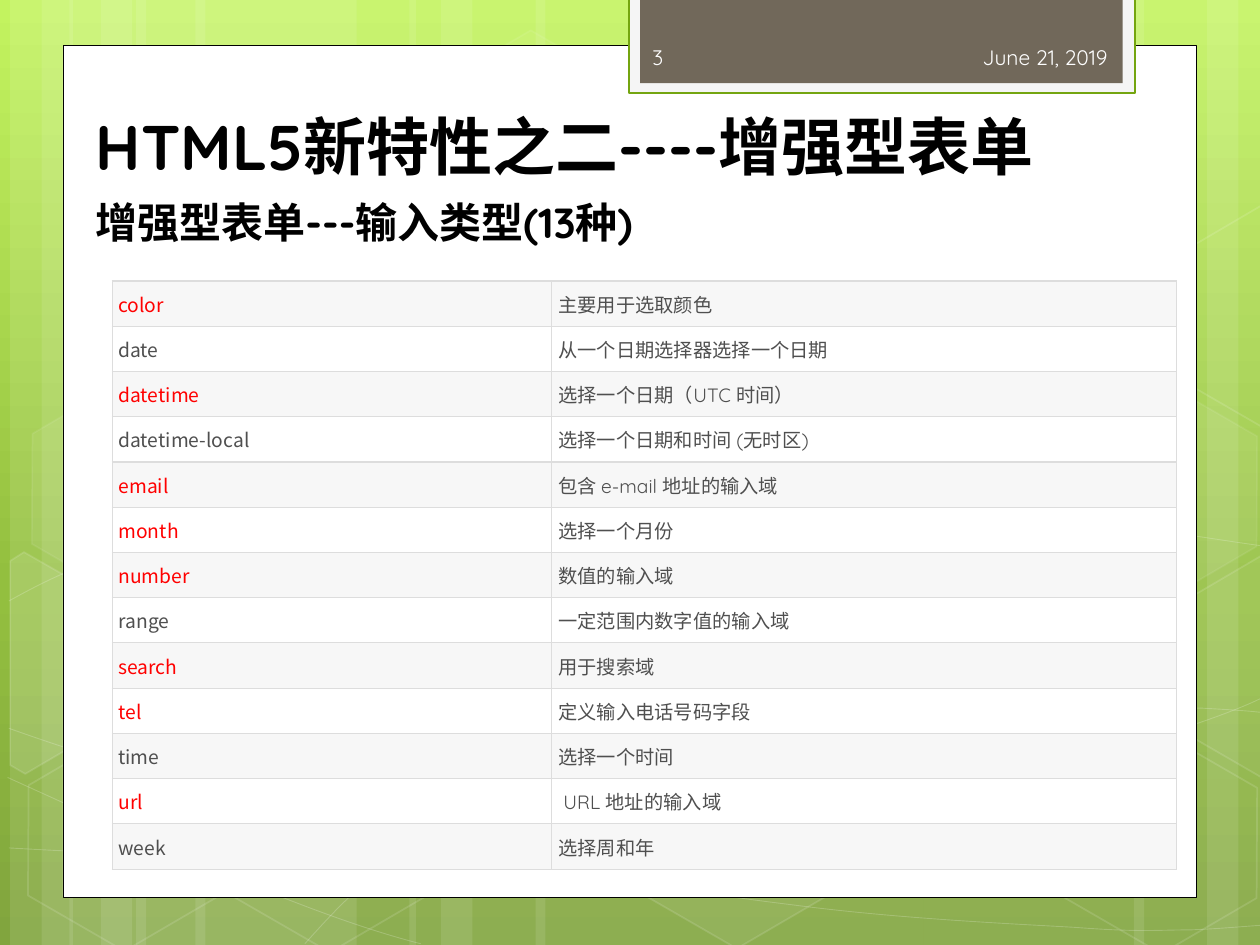
from copy import deepcopy
from dataclasses import dataclass
from math import cos, radians, sin
from typing import NamedTuple, Optional

from lxml import etree
from pptx import Presentation
from pptx.dml.color import RGBColor
from pptx.enum.shapes import MSO_SHAPE
from pptx.enum.text import MSO_ANCHOR, MSO_AUTO_SIZE, PP_ALIGN
from pptx.oxml.ns import qn
from pptx.util import Emu, Pt

RECT, HEXAGON = MSO_SHAPE.RECTANGLE, MSO_SHAPE.HEXAGON
LEFT, RIGHT = PP_ALIGN.LEFT, PP_ALIGN.RIGHT
TOP, MIDDLE = MSO_ANCHOR.TOP, MSO_ANCHOR.MIDDLE
NO_FIT = MSO_AUTO_SIZE.NONE
EMU_PER_PX = 9144  # 100 px to the inch
TITLE_ONLY = 5
TILT = 30


@dataclass(frozen=True)
class Theme:
    white: str = "FFFFFF"
    black: str = "000000"
    tab_edge: str = "F5F5F5"
    tab_line: str = "74A510"
    tab: str = "71685A"
    tab_text: str = "FEFEFE"
    stripe: str = "F7F7F7"
    grid: str = "DDDDDD"
    text: str = "4F4F4F"
    highlight: str = "FF0000"
    sky: tuple = ((0, "C3F35F"), (0.62, "93BF3F"), (1, "81A53E"))
    font: str = "Quicksand"
    cjk_font: str = "Noto Sans CJK SC"
    title_size: int = 36
    subtitle_size: int = 24
    tab_size: int = 12
    table_size: int = 11


THEME = Theme()


class Box(NamedTuple):
    left: int
    top: int
    width: int
    height: int


class Paint(NamedTuple):
    color: str
    opacity: int = 100
    width: float = 0


class Hexagon(NamedTuple):
    left: int
    top: int
    line_opacity: int
    fill_opacity: int = 0


class CutHexagon(NamedTuple):
    center: tuple
    points: tuple
    fill_opacity: int = 0


class InputType(NamedTuple):
    name: str
    meaning: str
    highlighted: bool


BANDS = ((108, 175), (8, 50), (33, 83), (155, 175), (55, 50), (80, 83),
         (733, 175), (958, 50), (900, 83), (425, 308), (325, 50), (350, 83))

# Each curve: a start point, then Bezier triples of two controls and an end.
CURVES = (
    ((7, 673), (61, 676), (115, 679), (190, 678), (265, 677), (358, 675), (458, 665),
     (558, 655), (700, 636), (792, 617), (883, 598), (977, 568), (1007, 551)),
    ((7, 477), (36, 461), (65, 446), (121, 431), (178, 416), (259, 394), (347, 387),
     (436, 380), (544, 379), (654, 387), (764, 395), (947, 426), (1007, 434)),
    ((6, 617), (127, 672), (247, 727), (334, 749)),
    ((7, 578), (38, 589), (70, 600), (128, 616), (186, 631), (273, 656), (357, 673),
     (440, 690), (545, 708), (628, 718), (711, 729), (800, 733), (853, 736),
     (905, 740), (919, 738), (945, 738), (971, 737), (989, 735), (1007, 734)),
    ((242, 749), (260, 729), (278, 709), (302, 691), (326, 673), (360, 653), (388, 639),
     (416, 625), (433, 619), (470, 609), (506, 599), (573, 585), (608, 578),
     (644, 571), (649, 571), (680, 569), (711, 566), (760, 563), (794, 562),
     (829, 561), (886, 562), (886, 562), (886, 562), (953, 562), (953, 562),
     (971, 563), (988, 564), (997, 565), (1006, 566), (1003, 565), (1006, 566)),
)

HEXAGONS = (
    Hexagon(334, 36, 8, 4), Hexagon(497, 589, 12, 6), Hexagon(11, 591, 12),
    Hexagon(14, 312, 8, 7), Hexagon(174, 592, 12), Hexagon(753, 453, 12, 10),
    Hexagon(834, 593, 12), Hexagon(834, 314, 8, 7),
)

CUT_HEXAGONS = (
    CutHexagon((36, 535), ((8, 445), (19, 438), (96, 482), (95, 570), (20, 614), (8, 607)), 10),
    CutHexagon((985, 520), ((926, 485), (1001, 441), (1009, 446), (1009, 613),
                            (1002, 617), (926, 573)), 4),
    CutHexagon((985, 241), ((926, 207), (1001, 163), (1010, 168), (1009, 335),
                            (1002, 339), (926, 295))),
)

INPUT_TYPES = (
    InputType("color", "主要用于选取颜色", True),
    InputType("date", "从一个日期选择器选择一个日期", False),
    InputType("datetime", "选择一个日期（UTC 时间）", True),
    InputType("datetime-local", "选择一个日期和时间 (无时区)", False),
    InputType("email", "包含 e-mail 地址的输入域", True),
    InputType("month", "选择一个月份", True),
    InputType("number", "数值的输入域", True),
    InputType("range", "一定范围内数字值的输入域", False),
    InputType("search", "用于搜索域", True),
    InputType("tel", "定义输入电话号码字段", True),
    InputType("time", "选择一个时间", False),
    InputType("url", " URL 地址的输入域", True),
    InputType("week", "选择周和年", False),
)


def px(length: float) -> Emu:
    return Emu(round(length * EMU_PER_PX))


def place(box: Box) -> list:
    return [px(length) for length in box]


def set_opacity(parent, opacity: int) -> None:
    if opacity < 100:
        color = parent.find(qn("a:solidFill"))[0]
        etree.SubElement(color, qn("a:alpha"), val=str(opacity * 1000))


def style(shape, fill: Optional[Paint], line: Optional[Paint]) -> None:
    shape.shadow.inherit = False
    properties = shape._element.spPr
    if fill:
        shape.fill.solid()
        shape.fill.fore_color.rgb = RGBColor.from_string(fill.color)
        set_opacity(properties, fill.opacity)
    else:
        shape.fill.background()
    if line:
        shape.line.color.rgb = RGBColor.from_string(line.color)
        shape.line.width = Pt(line.width)
        set_opacity(properties.find(qn("a:ln")), line.opacity)
    else:
        shape.line.fill.background()


def add_rect(shapes, box: Box, fill: Paint, line: Optional[Paint] = None) -> None:
    style(shapes.add_shape(RECT, *place(box)), fill, line)


def white(opacity: int, width: float = 0) -> Optional[Paint]:
    return Paint(THEME.white, opacity, width) if opacity else None


def add_outline(shapes, points, closed: bool):
    start, *rest = [(px(x), px(y)) for x, y in points]
    builder = shapes.build_freeform(*start)
    builder.add_line_segments(rest, close=closed)
    return builder.convert_to_shape()


def add_curve(shapes, points: tuple) -> None:
    """Draw the control polygon, then merge each three of its lines into a Bezier."""
    curve = add_outline(shapes, points, False)
    lines = list(curve._element.iter(qn("a:lnTo")))
    for first in range(0, len(lines), 3):
        bezier = etree.Element(qn("a:cubicBezTo"))
        lines[first].addprevious(bezier)
        for line in lines[first:first + 3]:
            bezier.append(line[0])
            line.getparent().remove(line)
    style(curve, None, white(20, 0.5))


def add_cut_hexagon(shapes, cut: CutHexagon) -> None:
    """Lay the points out upright around the centre, then tilt the shape."""
    center_x, center_y = cut.center
    c, s = cos(radians(TILT)), sin(radians(TILT))
    upright = [(center_x + (x - center_x) * c + (y - center_y) * s,
                center_y - (x - center_x) * s + (y - center_y) * c)
               for x, y in cut.points]
    hexagon = add_outline(shapes, upright, True)
    hexagon.rotation = TILT
    style(hexagon, white(cut.fill_opacity), white(12, 1))


def write(frame, text: str, size: int, color: str, font: str = THEME.font,
          bold: bool = False, align=LEFT, anchor=MIDDLE) -> None:
    frame.word_wrap = True
    frame.vertical_anchor = anchor
    paragraph = frame.paragraphs[0]
    paragraph.alignment = align
    run = paragraph.add_run()
    run.text = text
    run.font.size, run.font.bold, run.font.name = Pt(size), bold, font
    run.font.color.rgb = RGBColor.from_string(color)
    etree.SubElement(run._r.get_or_add_rPr(), qn("a:ea"), typeface=THEME.cjk_font)


def add_text(shapes, box: Box, text: str, size: int, color: str, **options) -> None:
    write(shapes.add_textbox(*place(box)).text_frame, text, size, color, **options)


def paint_background(slide) -> None:
    fill = slide.background.fill
    fill.gradient()
    fill.gradient_angle = 270
    stop_list = slide._element.find(".//" + qn("a:gsLst"))
    stop_list.append(deepcopy(stop_list[0]))
    for stop, (position, color) in zip(fill.gradient_stops, THEME.sky):
        stop.position = position
        stop.color.rgb = RGBColor.from_string(color)


def add_backdrop(shapes) -> None:
    for left, width in BANDS:
        add_rect(shapes, Box(left, 0, width, 750), white(10))
    for curve in CURVES:
        add_curve(shapes, curve)
    for left, top, line_opacity, fill_opacity in HEXAGONS:
        hexagon = shapes.add_shape(HEXAGON, *place(Box(left, top, 175, 152)))
        hexagon.adjustments[0] = 0.285
        hexagon.rotation = TILT
        style(hexagon, white(fill_opacity), white(line_opacity, 1))
    for cut in CUT_HEXAGONS:
        add_cut_hexagon(shapes, cut)


def fill_cell(cell, text: str, color: str, font: str, background: str) -> None:
    cell.margin_left = cell.margin_right = cell.margin_top = cell.margin_bottom = px(5)
    cell.vertical_anchor = MIDDLE
    write(cell.text_frame, text, THEME.table_size, color, font)
    properties = cell._tc.get_or_add_tcPr()
    for side in ("lnL", "lnR", "lnT", "lnB"):
        border = etree.SubElement(properties, qn(f"a:{side}"), w=str(Pt(0.75)))
        solid = etree.SubElement(border, qn("a:solidFill"))
        etree.SubElement(solid, qn("a:srgbClr"), val=THEME.grid)
    cell.fill.solid()
    cell.fill.fore_color.rgb = RGBColor.from_string(background)


def add_input_types(shapes) -> None:
    table = shapes.add_table(len(INPUT_TYPES), 2, *place(Box(89, 223, 845, 467))).table
    table.first_row = table.horz_banding = False
    table.columns[0].width, table.columns[1].width = px(349), px(496)
    for row, (name, meaning, highlighted) in enumerate(INPUT_TYPES):
        background = THEME.white if row % 2 else THEME.stripe
        name_color = THEME.highlight if highlighted else THEME.text
        fill_cell(table.cell(row, 0), name, name_color, THEME.cjk_font, background)
        fill_cell(table.cell(row, 1), meaning, THEME.text, THEME.font, background)


def main() -> None:
    deck = Presentation()
    deck.slide_width, deck.slide_height = px(1000), px(750)
    slide = deck.slides.add_slide(deck.slide_layouts[TITLE_ONLY])
    shapes = slide.shapes
    paint_background(slide)
    add_backdrop(shapes)
    add_rect(shapes, Box(50, 36, 900, 676), Paint(THEME.white), Paint(THEME.black, width=0.5))
    add_rect(shapes, Box(499, -2, 402, 76), Paint(THEME.tab_edge),
             Paint(THEME.tab_line, width=1.25))
    add_rect(shapes, Box(508, -2, 383, 68), Paint(THEME.tab))
    add_text(shapes, Box(656, 25, 233, 40), "June 21, 2019", THEME.tab_size,
             THEME.tab_text, align=RIGHT)
    add_text(shapes, Box(508, 25, 146, 40), "3", THEME.tab_size, THEME.tab_text)

    title = shapes.title
    title.left, title.top, title.width, title.height = place(Box(66, 80, 867, 71))
    title.text_frame.auto_size = NO_FIT
    write(title.text_frame, "HTML5新特性之二----增强型表单", THEME.title_size,
          THEME.black, bold=True, anchor=TOP)
    shapes._spTree.append(title._element)  # bring in front of the white card
    add_text(shapes, Box(66, 151, 607, 50), "增强型表单---输入类型(13种)",
             THEME.subtitle_size, THEME.black, bold=True, anchor=TOP)
    add_input_types(shapes)
    deck.save("out.pptx")


if __name__ == "__main__":
    main()
